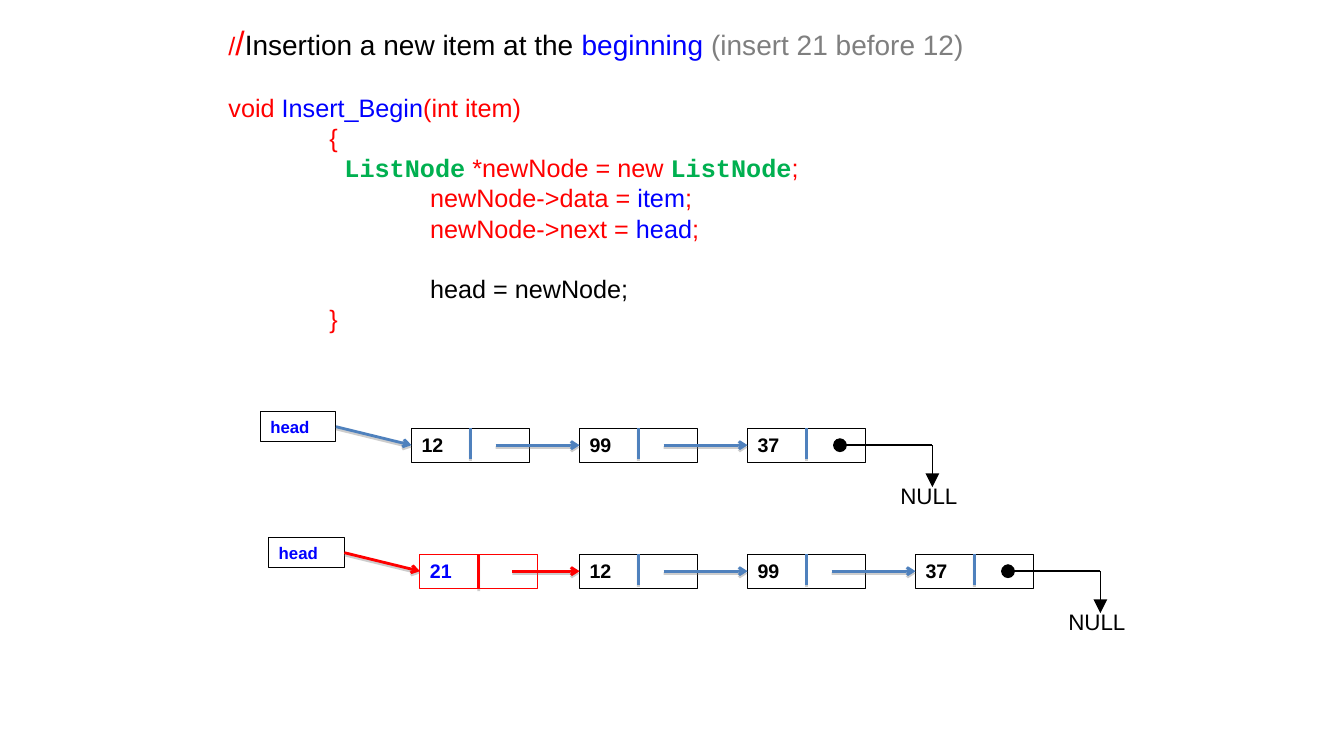
"""Builds a slide on inserting an item at the beginning of a linked list."""
from dataclasses import dataclass
from itertools import pairwise
from typing import NamedTuple

from pptx import Presentation
from pptx.dml.color import RGBColor
from pptx.enum.shapes import MSO_CONNECTOR, MSO_SHAPE
from pptx.enum.text import MSO_ANCHOR, MSO_AUTO_SIZE, PP_ALIGN
from pptx.oxml.ns import qn
from pptx.util import Inches, Length, Pt
from lxml.etree import SubElement

COLUMNS, ROWS = 160, 90
CELL = Inches(1) // 12
RED, BLUE, BLACK, GREY, GREEN, STEEL = "FF0000", "0000FF", "000000", "7F7F7F", "00B050", "4F81BD"
SHADOW = "808080"
LINE_PITCH = 21.6
NODE_WIDTH, NODE_HEIGHT = 14, 4.1
HEAD_WIDTH, HEAD_HEIGHT = 9, 3.6


class Span(NamedTuple):
    """A stretch of text in one format."""

    text: str
    color: str = RED
    size: float = 18
    bold: bool = False
    font: str = "Arial"


class CodeLine(NamedTuple):
    """A line of code with its indent in inches and blank lines above."""

    depth: int
    spans: list[Span]
    blank_above: int = 0


@dataclass
class Node:
    """A list node; an inserted one is drawn in red."""

    value: str
    column: float
    inserted: bool = False


@dataclass
class Chain:
    """A linked list with its head pointer."""

    row: float
    head_column: float
    nodes: list[Node]


LIST_NODE = Span("ListNode", GREEN, bold=True, font="Courier New")
HEADING = [
    Span("/"),
    Span("/", size=24),
    Span("Insertion a new item at the ", BLACK, 20),
    Span("beginning ", BLUE, 20),
    Span("(insert 21 before 12)", GREY, 20),
]
CODE = [
    CodeLine(0, [Span("void "), Span("Insert_Begin", BLUE), Span("(int item)")]),
    CodeLine(1, [Span("{")]),
    CodeLine(1, [LIST_NODE._replace(text=" ListNode"), Span(" *newNode = new "), LIST_NODE, Span(";")]),
    CodeLine(2, [Span("newNode->data = "), Span("item", BLUE), Span(";")]),
    CodeLine(2, [Span("newNode->next = "), Span("head", BLUE), Span(";")]),
    CodeLine(2, [Span("head = newNode;", BLACK)], 1),
    CodeLine(1, [Span("}")]),
]
CHAINS = [
    Chain(51, 31, [Node("12", 49), Node("99", 69), Node("37", 89)]),
    Chain(66, 32, [Node("21", 50, True), Node("12", 69), Node("99", 89), Node("37", 109)]),
]


def grid(cells: float) -> Length:
    """Turn grid cells into a length."""
    return Length(round(cells * CELL))


def ink(color: str) -> RGBColor:
    """Turn a hex string into a colour."""
    return RGBColor.from_string(color)


def write(paragraph, spans: list[Span]) -> None:
    """Fill a paragraph with formatted spans."""
    for span in spans:
        run = paragraph.add_run()
        run.text = span.text
        run.font.name, run.font.size, run.font.bold = span.font, Pt(span.size), span.bold
        run.font.color.rgb = ink(span.color)


def place(placeholder, column: float, row: float, width: float, height: float):
    """Move a placeholder on the grid and return its text frame."""
    placeholder.left, placeholder.top = grid(column), grid(row)
    placeholder.width, placeholder.height = grid(width), grid(height)
    frame = placeholder.text_frame
    frame.margin_top = 0
    frame.vertical_anchor = MSO_ANCHOR.TOP
    frame.auto_size = MSO_AUTO_SIZE.NONE
    frame.word_wrap = True
    return frame


def draw_code(frame) -> None:
    """Write the code lines without bullets, indented by depth."""
    for index, line in enumerate(CODE):
        paragraph = frame.paragraphs[0] if index == 0 else frame.add_paragraph()
        properties = paragraph._p.get_or_add_pPr()
        properties.set("marL", str(Inches(line.depth)))
        properties.set("indent", "0")
        SubElement(properties, qn("a:buNone"))
        paragraph.line_spacing = Pt(LINE_PITCH)
        paragraph.space_before = Pt(LINE_PITCH * line.blank_above)
        write(paragraph, line.spans)


def draw_line(slide, start: tuple[float, float], end: tuple[float, float], color: str,
              width: float = 2, head: str = "", tail: str = "",
              end_size: str = "med", shadow: bool = True) -> None:
    """Draw a line between two grid points with optional ends and shadow."""
    points = [grid(cells) for cells in (*start, *end)]
    connector = slide.shapes.add_connector(MSO_CONNECTOR.STRAIGHT, *points)
    connector.line.color.rgb = ink(color)
    connector.line.width = Pt(width)
    outline = connector.line._get_or_add_ln()
    for tag, kind in (("a:headEnd", head), ("a:tailEnd", tail)):
        if kind:
            SubElement(outline, qn(tag), type=kind, w=end_size, len=end_size)
    effects = SubElement(connector._element.spPr, qn("a:effectLst"))
    if shadow:
        outer = SubElement(effects, qn("a:outerShdw"), blurRad="0", dist=str(Pt(1.6)),
                           dir="5400000", rotWithShape="0")
        tint = SubElement(outer, qn("a:srgbClr"), val=SHADOW)
        SubElement(tint, qn("a:alpha"), val="38000")


def draw_box(slide, column: float, row: float, width: float, height: float,
             label: Span, border: str) -> None:
    """Draw an outlined box with a left-aligned label."""
    box = slide.shapes.add_shape(MSO_SHAPE.RECTANGLE, grid(column), grid(row), grid(width), grid(height))
    box.shadow.inherit = False
    box.fill.background()
    box.line.color.rgb = ink(border)
    box.line.width = Pt(0.75)
    box.text_frame.vertical_anchor = MSO_ANCHOR.TOP
    paragraph = box.text_frame.paragraphs[0]
    paragraph.alignment = PP_ALIGN.LEFT
    write(paragraph, [label])


def draw_null(slide, column: float, row: float) -> None:
    """Draw the elbow from the last node down to NULL."""
    corner = (column + 22, row + 2)
    draw_line(slide, (column + 11, row + 2), corner, BLACK, 1, head="oval", end_size="lg", shadow=False)
    draw_line(slide, corner, (column + 22, row + 7), BLACK, 1, tail="triangle", end_size="lg", shadow=False)
    null = slide.shapes.add_textbox(grid(column + 17), grid(row + 5.8), grid(10), grid(4.4))
    null.text_frame.word_wrap = True
    write(null.text_frame.paragraphs[0], [Span("NULL", BLACK, 16)])


def draw_chain(slide, chain: Chain) -> None:
    """Draw the head pointer, the nodes, their links and NULL."""
    row, first, last = chain.row, chain.nodes[0], chain.nodes[-1]
    draw_box(slide, chain.head_column, row - 2, HEAD_WIDTH, HEAD_HEIGHT,
             Span("head", BLUE, 12, True), BLACK)
    for node in chain.nodes:
        draw_box(slide, node.column, row, NODE_WIDTH, NODE_HEIGHT,
                 Span(node.value, BLUE if node.inserted else BLACK, 14, True),
                 RED if node.inserted else BLACK)
        divider = node.column + NODE_WIDTH / 2
        draw_line(slide, (divider, row), (divider, row + (NODE_HEIGHT if node.inserted else HEAD_HEIGHT)),
                  RED if node.inserted else STEEL)
    draw_line(slide, (chain.head_column + HEAD_WIDTH, row - 2 + HEAD_HEIGHT / 2),
              (first.column, row + 2), RED if first.inserted else STEEL, tail="arrow")
    for node, following in pairwise(chain.nodes):
        draw_line(slide, (node.column + (11 if node.inserted else 10), row + 2),
                  (following.column, row + 2), RED if node.inserted else STEEL, tail="arrow")
    draw_null(slide, last.column, row)


def main() -> None:
    """Build and save the slide."""
    deck = Presentation()
    deck.slide_width, deck.slide_height = grid(COLUMNS), grid(ROWS)
    slide = deck.slides.add_slide(deck.slide_layouts[1])
    heading = place(slide.shapes.title, 26, 2.65, 98, 5).paragraphs[0]
    heading.alignment = PP_ALIGN.LEFT
    write(heading, HEADING)
    draw_code(place(slide.placeholders[1], 26, 10.95, 98, 34))
    for chain in CHAINS:
        draw_chain(slide, chain)
    deck.save("out.pptx")


if __name__ == "__main__":
    main()
